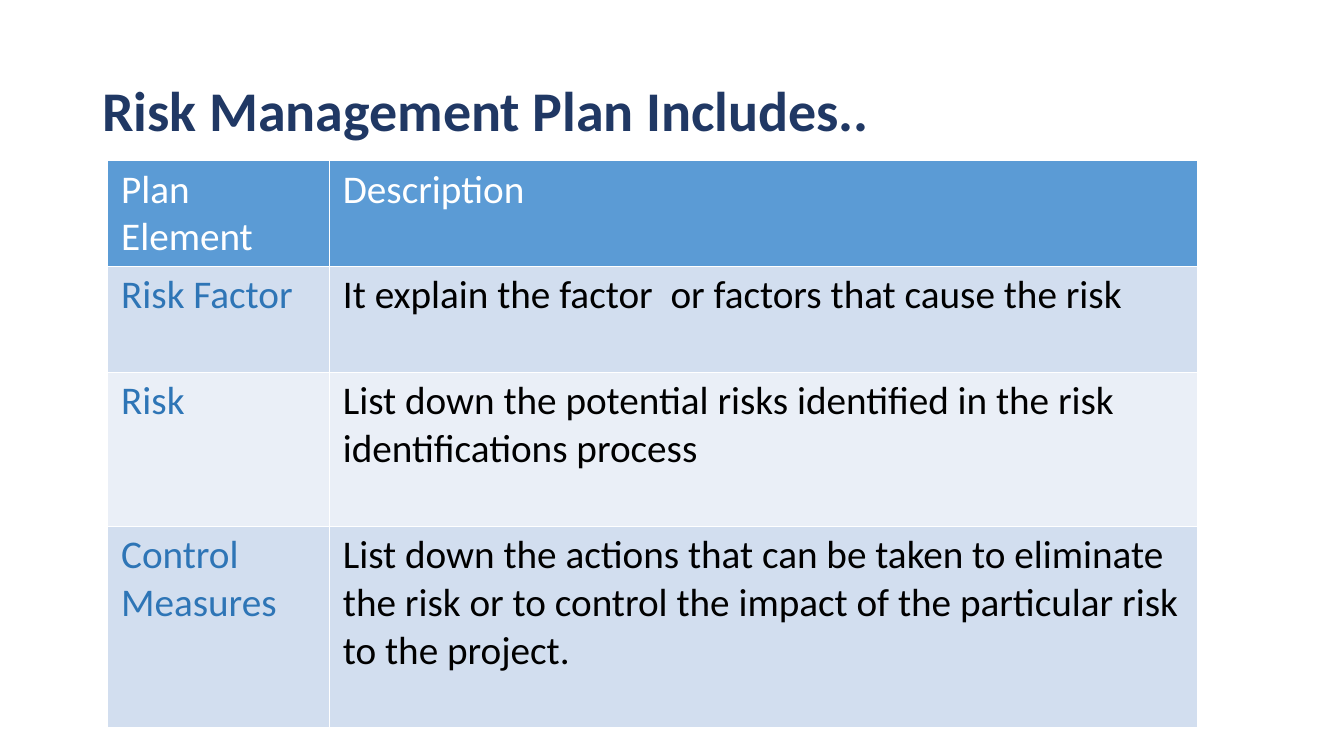
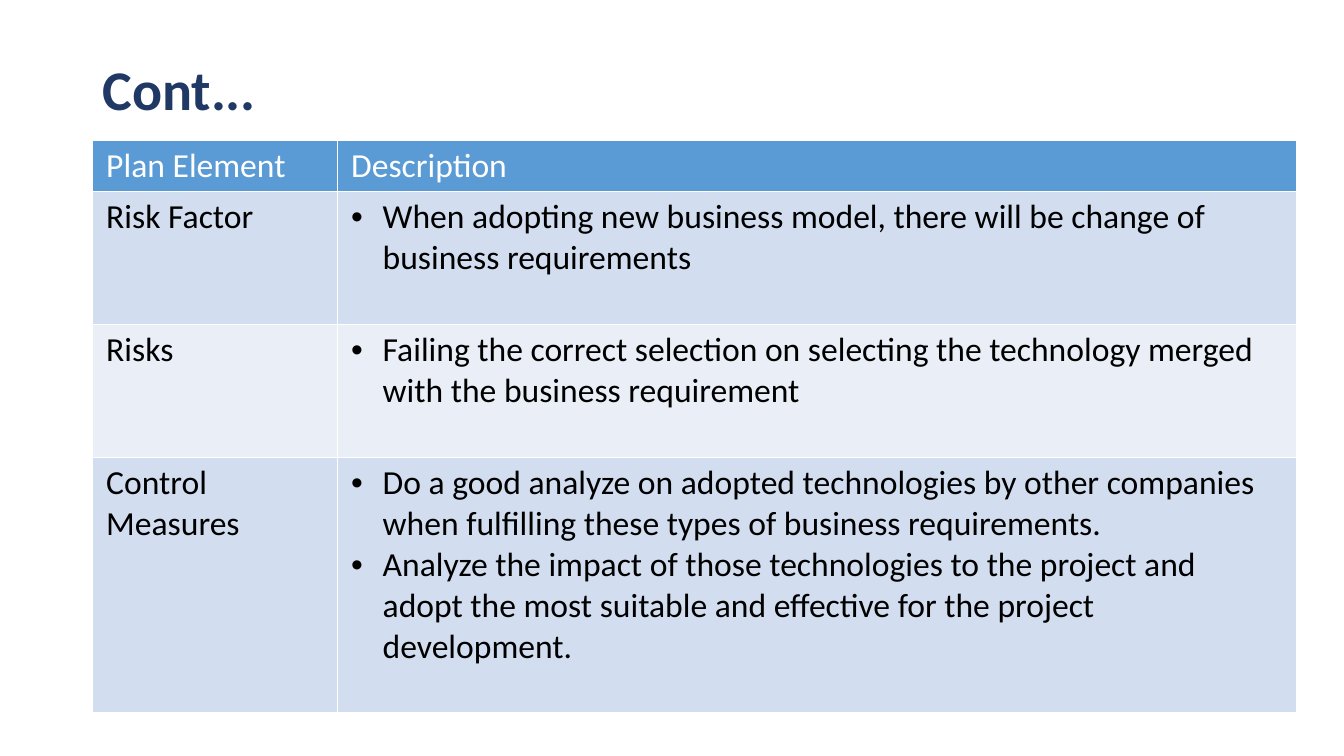
from lxml import etree
from pptx import Presentation
from pptx.dml.color import RGBColor
from pptx.enum.text import MSO_ANCHOR as Anchor, MSO_AUTO_SIZE as AutoSize, PP_ALIGN as Align
from pptx.oxml import parse_xml
from pptx.oxml.ns import nsdecls, qn
from pptx.util import Pt

FONT = "Calibri"
COLORS = {
    "title": "203864",
    "header": "5B9BD5",
    "odd_row": "D2DEEF",
    "even_row": "EAEFF7",
    "element": "2E75B6",
    "text": "000000",
    "white": "FFFFFF",
}
TITLE_ONLY = 5
HEADINGS = ("Plan Element", ["Description"])

PLAN_ELEMENTS = [
    ("Risk Factor", ["It explain the factor  or factors that cause the risk"]),
    ("Risk", ["List down the potential risks identified in the risk identifications process"]),
    ("Control Measures", [
        "List down the actions that can be taken to eliminate the risk or to control "
        "the impact of the particular risk to the project."]),
]
PLAN_EXAMPLE = [
    ("Risk Factor", [
        "When adopting new business model, there will be change of business requirements"]),
    ("Risks", [
        "Failing the correct selection on selecting the technology merged "
        "with the business requirement"]),
    ("Control Measures", [
        "Do a good analyze on adopted technologies by other companies "
        "when fulfilling these types of business requirements.",
        "Analyze the impact of those technologies to the project and adopt "
        "the most suitable and effective for the project development."]),
]


def color(name):
    return RGBColor.from_string(COLORS[name])


def add_bullet(paragraph, indent=22.5):
    properties = paragraph._p.get_or_add_pPr()
    properties.set("marL", str(Pt(indent)))
    properties.set("indent", str(-Pt(indent)))
    etree.SubElement(properties, qn("a:buFont"), typeface="Arial")
    etree.SubElement(properties, qn("a:buChar"), char="•")


def write_text(frame, lines, *, size, ink, bold=False, bulleted=False, line_spacing=None):
    """Fill a text frame with one paragraph per line."""
    for index, line in enumerate(lines):
        paragraph = frame.add_paragraph() if index else frame.paragraphs[0]
        if bulleted:
            add_bullet(paragraph)
        paragraph.alignment = Align.LEFT
        if line_spacing:
            paragraph.line_spacing = line_spacing
        run = paragraph.add_run()
        run.text = line
        run.font.name = FONT
        run.font.size = Pt(size)
        run.font.bold = bold
        run.font.color.rgb = color(ink)


def add_titled_slide(deck, heading, top):
    slide = deck.slides.add_slide(deck.slide_layouts[TITLE_ONLY])
    title = slide.shapes.title
    title.left, title.top, title.width, title.height = Pt(66), Pt(top), Pt(828), Pt(104.4)
    frame = title.text_frame
    frame.word_wrap = True
    frame.auto_size = AutoSize.NONE
    frame.vertical_anchor = Anchor.MIDDLE
    write_text(frame, [heading], size=40, ink="title", bold=True, line_spacing=0.9)
    return slide


def style_cell(cell, fill):
    cell.fill.solid()
    cell.fill.fore_color.rgb = color(fill)
    cell.margin_left = cell.margin_right = Pt(9.6)
    cell.margin_top = cell.margin_bottom = Pt(3.6)
    properties = cell._tc.get_or_add_tcPr()
    for position, side in enumerate("LRTB"):
        properties.insert(position, parse_xml(
            f'<a:ln{side} {nsdecls("a")} w="{Pt(1)}"><a:solidFill>'
            f'<a:srgbClr val="{COLORS["white"]}"/></a:solidFill></a:ln{side}>'))


def add_plan_table(slide, rows, *, left, top, widths, heights, size,
                   element_ink="text", bulleted=False):
    table = slide.shapes.add_table(
        len(heights), len(widths), Pt(left), Pt(top), Pt(sum(widths)), Pt(sum(heights))).table
    table.horz_banding = False
    for column, width in zip(table.columns, widths):
        column.width = Pt(width)
    for row, height in zip(table.rows, heights):
        row.height = Pt(height)

    for index, (element, description) in enumerate([HEADINGS, *rows]):
        is_header = index == 0
        fill = "header" if is_header else "odd_row" if index % 2 else "even_row"
        element_cell, description_cell = table.rows[index].cells
        for cell in (element_cell, description_cell):
            style_cell(cell, fill)
        write_text(element_cell.text_frame, [element], size=size,
                   ink="white" if is_header else element_ink)
        write_text(description_cell.text_frame, description, size=size,
                   ink="white" if is_header else "text",
                   bulleted=bulleted and not is_header)


def main():
    deck = Presentation()
    deck.slide_width, deck.slide_height = Pt(960), Pt(540)

    includes = add_titled_slide(deck, "Risk Management Plan Includes..", top=28.8)
    add_plan_table(includes, PLAN_ELEMENTS, left=77, top=114.8, widths=(158.4, 620),
                   heights=(75.6, 75.6, 110, 144), size=28, element_ink="element")

    example = add_titled_slide(deck, "Cont...", top=13.7)
    add_plan_table(example, PLAN_EXAMPLE, left=66.3, top=100.3, widths=(175, 685),
                   heights=(36.5, 95, 95, 182.5), size=24, bulleted=True)

    deck.save("out.pptx")


if __name__ == "__main__":
    main()
